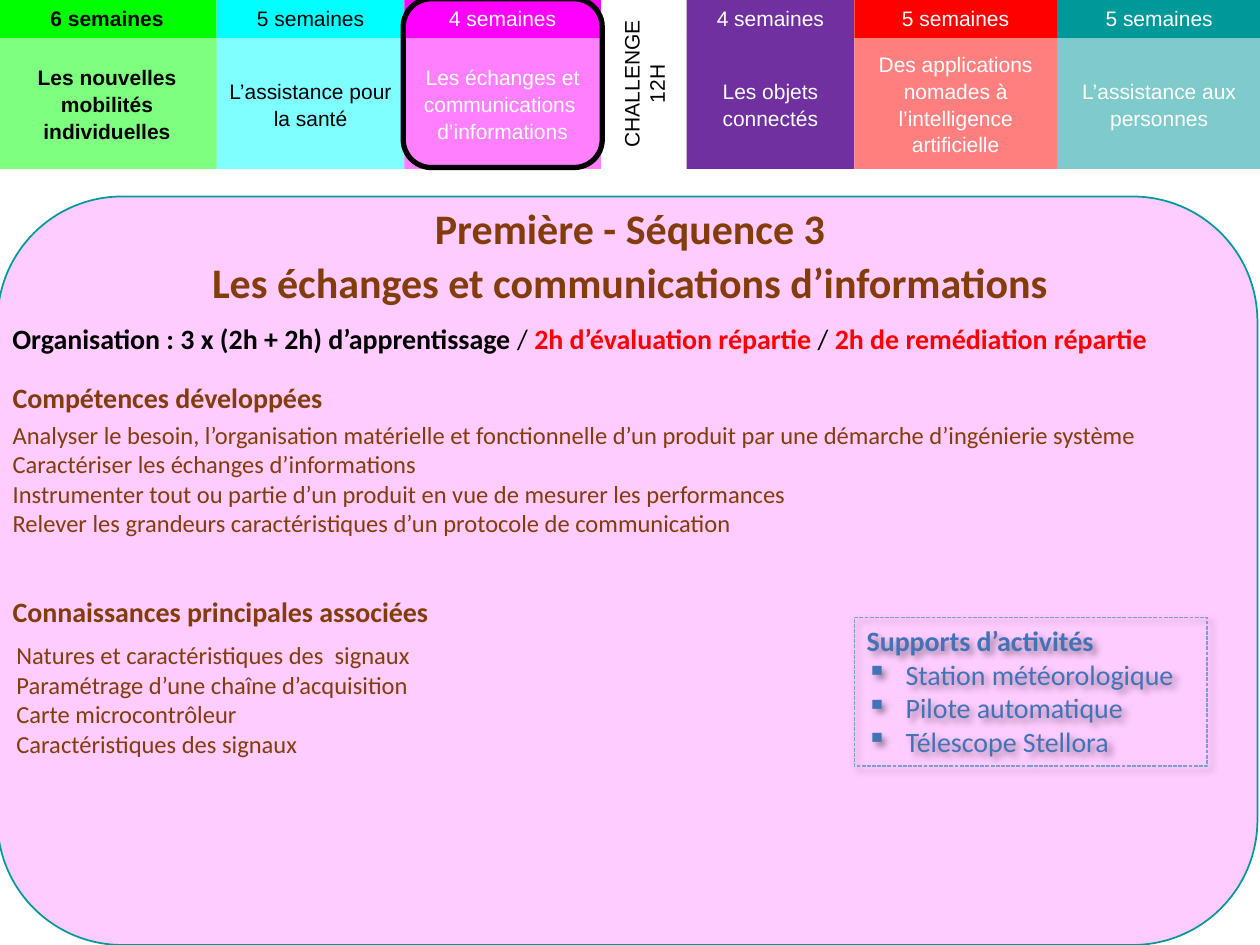
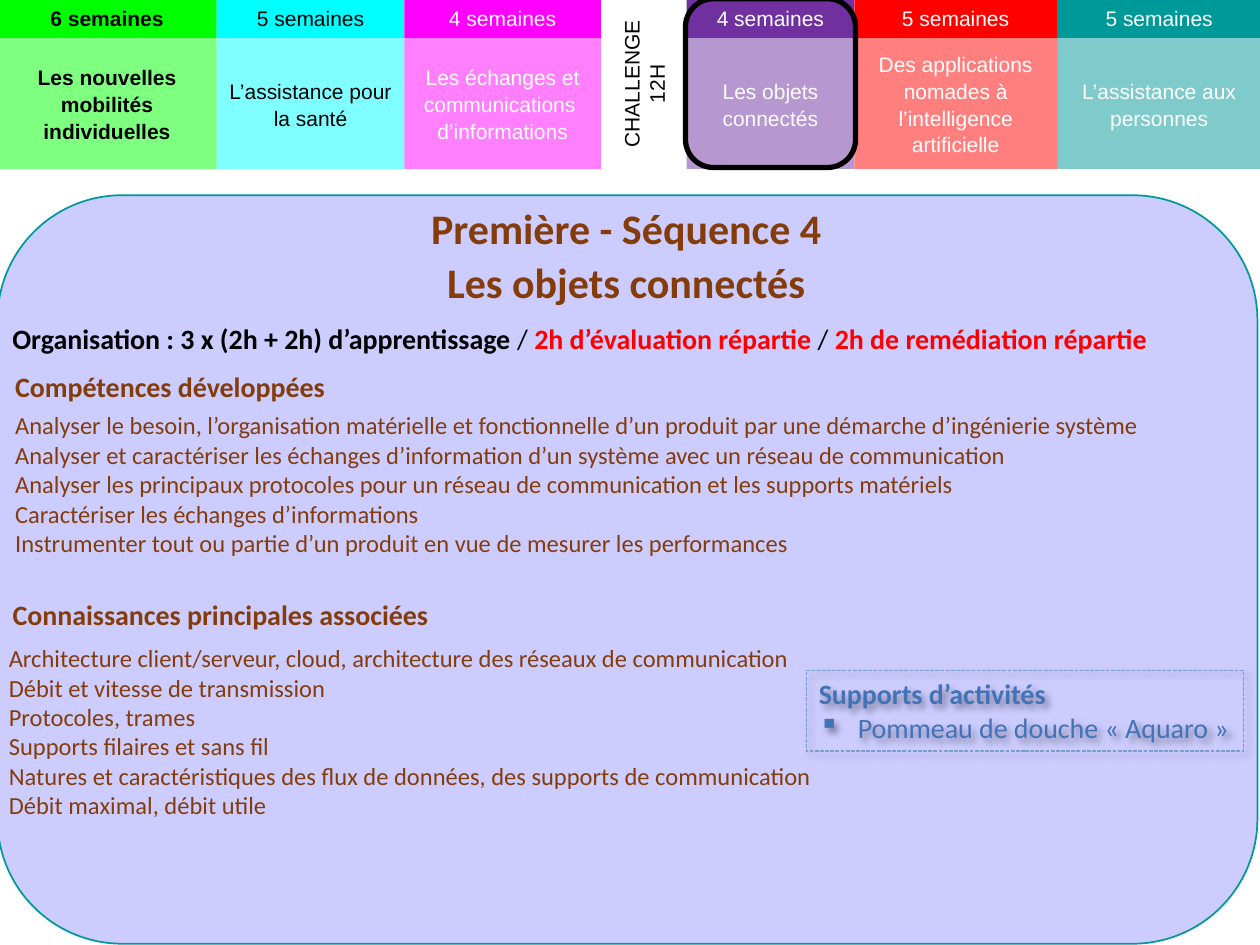
from lxml.etree import SubElement
from pptx import Presentation
from pptx.dml.color import RGBColor
from pptx.enum.dml import MSO_LINE
from pptx.enum.shapes import MSO_SHAPE as Shape
from pptx.enum.text import MSO_ANCHOR as Anchor, MSO_AUTO_SIZE as AutoSize, PP_ALIGN as Align
from pptx.oxml.ns import qn
from pptx.util import Inches, Pt

COLORS = {
    "black": "000000", "white": "FFFFFF", "red": "FF0000", "brown": "843C0B",
    "green": "00FF00", "cyan": "00FFFF", "magenta": "FF00FF", "blue": "0000FF",
    "purple": "7030A0", "teal": "009999", "support": "4273B7", "support_line": "7C9FD0",
}
EDGES = [-0.02, 1.72, 3.21, 4.77, 5.45, 6.78, 8.39, 10.01]
BAND_TOP, BAND_SPLIT, BAND_BOTTOM = -0.01, 0.3, 1.34
CHALLENGE, CONNECTED = 3, 4
SEQUENCES = [
    ("6 semaines", "Les nouvelles mobilités individuelles", "green", "black"),
    ("5 semaines", "L’assistance pour la santé", "cyan", "black"),
    ("4 semaines", "Les échanges et communications  d’informations", "magenta", "white"),
    (None, "CHALLENGE 12H", "white", "black"),
    ("4 semaines", "Les objets connectés", "purple", "white"),
    ("5 semaines", "Des applications nomades à l’intelligence artificielle", "red", "white"),
    ("5 semaines", "L’assistance aux personnes", "teal", "white"),
]
ORGANISATION = [
    ("Organisation : 3 x (2h + 2h) d’apprentissage ", {"bold": True}),
    ("/ ", {}),
    ("2h d’évaluation répartie ", {"bold": True, "color": "red"}),
    ("/ ", {}),
    ("2h de remédiation répartie", {"bold": True, "color": "red"}),
]
PAGES = [
    {
        "current": 2, "panel": ("magenta", 1.56),
        "title": ["Première - Séquence 3", "Les échanges et communications d’informations"],
        "title_left": 0,
        "skills_heading": (0, 2.97), "skills_box": (0, 3.28, 10, 1.04),
        "skills": [
            "Analyser le besoin, l’organisation matérielle et fonctionnelle d’un produit par une démarche d’ingénierie système",
            "Caractériser les échanges d’informations",
            "Instrumenter tout ou partie d’un produit en vue de mesurer les performances",
            "Relever les grandeurs caractéristiques d’un protocole de communication",
        ],
        "knowledge_heading": (0, 4.67), "knowledge_box": (0.03, 5.03, 10, 1.04),
        "knowledge": [
            "Natures et caractéristiques des  signaux",
            "Paramétrage d’une chaîne d’acquisition",
            "Carte microcontrôleur",
            "Caractéristiques des signaux",
        ],
        "supports_box": (6.78, 4.9, 2.8, 1.18),
        "supports": ["Station météorologique", "Pilote automatique", "Télescope Stellora"],
    },
    {
        "current": 4, "panel": ("blue", 1.55),
        "title": ["Première - Séquence 4", "Les objets connectés"],
        "title_left": -0.03,
        "skills_heading": (0.02, 2.88), "skills_box": (0.02, 3.2, 10, 1.28),
        "skills": [
            "Analyser le besoin, l’organisation matérielle et fonctionnelle d’un produit par une démarche d’ingénierie système",
            "Analyser et caractériser les échanges d’information d’un système avec un réseau de communication",
            "Analyser les principaux protocoles pour un réseau de communication et les supports matériels",
            "Caractériser les échanges d’informations",
            "Instrumenter tout ou partie d’un produit en vue de mesurer les performances",
        ],
        "knowledge_heading": (0, 4.69), "knowledge_box": (-0.03, 5.05, 10, 1.51),
        "knowledge": [
            "Architecture client/serveur, cloud, architecture des réseaux de communication",
            "Débit et vitesse de transmission",
            "Protocoles, trames",
            "Supports filaires et sans fil",
            "Natures et caractéristiques des flux de données, des supports de communication",
            "Débit maximal, débit utile",
        ],
        "supports_box": (6.4, 5.32, 3.47, 0.64),
        "supports": ["Pommeau de douche «\u00a0Aquaro\u00a0»"],
    },
]


def rgb(name):
    return RGBColor.from_string(COLORS[name])


def write(frame, paragraphs, size=14, font="Calibri", color="brown", bold=False,
          align=Align.LEFT, anchor=Anchor.TOP, spacing=1.0, inset=0.1):
    frame.word_wrap = True
    frame.auto_size = AutoSize.NONE
    frame.vertical_anchor = anchor
    frame.margin_left = frame.margin_right = Inches(inset)
    frame.margin_top = frame.margin_bottom = Inches(0.05)
    for index, content in enumerate(paragraphs):
        paragraph = frame.add_paragraph() if index else frame.paragraphs[0]
        paragraph.alignment = align
        paragraph.line_spacing = spacing
        paragraph.space_before = Pt(0)
        set_bullet(paragraph)
        pieces = [(content, {})] if isinstance(content, str) else content
        for text, own in pieces:
            run = paragraph.add_run()
            run.text = text
            run.font.name = font
            run.font.size = Pt(size)
            run.font.bold = own.get("bold", bold)
            run.font.color.rgb = rgb(own.get("color", color))


def set_bullet(paragraph, char=None, indent=0):
    properties = paragraph._p.get_or_add_pPr()
    properties.set("marL", str(Inches(indent)))
    properties.set("indent", str(-Inches(indent)))
    for old in properties.findall(qn("a:buNone")):
        properties.remove(old)
    if char:
        SubElement(properties, qn("a:buChar"), char=char)
    else:
        SubElement(properties, qn("a:buNone"))


def place(shape, left, top, width, height):
    shape.left, shape.top = Inches(left), Inches(top)
    shape.width, shape.height = Inches(width), Inches(height)


def add_box(shapes, kind, box, fill=None, opacity=100, line=None, weight=1):
    shape = shapes.add_shape(kind, *map(Inches, box))
    shape.shadow.inherit = False
    if fill:
        shape.fill.solid()
        shape.fill.fore_color.rgb = rgb(fill)
        if opacity < 100:
            color = shape.fill._xPr.find(qn("a:solidFill"))[0]
            SubElement(color, qn("a:alpha"), val=str(opacity * 1000))
    else:
        shape.fill.background()
    if line:
        shape.line.color.rgb = rgb(line)
        shape.line.width = Pt(weight)
    else:
        shape.line.fill.background()
    return shape


def add_timeline(slide, current):
    timeline = slide.shapes.add_group_shape().shapes
    for index, (weeks, topic, color, ink) in enumerate(SEQUENCES):
        left, width = EDGES[index], EDGES[index + 1] - EDGES[index]
        top = BAND_SPLIT if weeks else BAND_TOP
        opacity = 100 if index == CONNECTED != current else 50
        style = {"size": 12, "font": "Arial", "color": ink, "bold": index == 0,
                 "align": Align.CENTER, "anchor": Anchor.MIDDLE, "inset": 0.05}
        body = add_box(timeline, Shape.RECTANGLE, (left, top, width, BAND_BOTTOM - top), color, opacity)
        write(body.text_frame, [topic], spacing=1.07 if weeks else 1.0, **style)
        if index == CHALLENGE:
            body.text_frame._txBody.bodyPr.set("vert", "vert270")
        else:
            head = add_box(timeline, Shape.RECTANGLE, (left, BAND_TOP, width, BAND_SPLIT - BAND_TOP), color)
            write(head.text_frame, [weeks], **style)
    left, width = EDGES[current], EDGES[current + 1] - EDGES[current]
    add_box(slide.shapes, Shape.ROUNDED_RECTANGLE, (left - 0.01, BAND_TOP, width + 0.02, 1.34),
            line="black", weight=3)


def add_panel(slide, color, top):
    panel = add_box(slide.shapes, Shape.ROUNDED_RECTANGLE, (-0.02, top, 10, 5.94), color, 20, "teal")
    slide.shapes._spTree.insert(2, panel._element)


def add_supports(slide, box, supports):
    frame_box = add_box(slide.shapes, Shape.RECTANGLE, box, line="support_line", weight=0.75)
    frame_box.line.dash_style = MSO_LINE.SQUARE_DOT
    effects = frame_box._element.spPr.find(qn("a:effectLst"))
    shadow = SubElement(effects, qn("a:outerShdw"), blurRad=str(Pt(4)), dist=str(Pt(3)),
                        dir="2700000", algn="tl", rotWithShape="0")
    shade = SubElement(shadow, qn("a:srgbClr"), val=COLORS["black"])
    SubElement(shade, qn("a:alpha"), val="40000")
    heading = [("Supports d’activités", {"bold": True})]
    write(frame_box.text_frame, [heading] + supports, size=16, color="support")
    for paragraph in frame_box.text_frame.paragraphs[1:]:
        set_bullet(paragraph, "▪", 0.31)


def fill_section(heading, body, title, spot, box, items):
    place(heading, *spot, 10, 0.37)
    write(heading.text_frame, [title], size=16, bold=True)
    place(body, *box)
    write(body.text_frame, items, anchor=Anchor.MIDDLE)


def add_page(prs, page):
    slide = prs.slides.add_slide(prs.slide_layouts[4])
    title, skills_heading, skills, knowledge_heading, knowledge = slide.placeholders
    add_panel(slide, *page["panel"])
    place(title, page["title_left"], 1.56, 10, 0.94)
    write(title.text_frame, page["title"], size=24, bold=True, align=Align.CENTER)
    title.text_frame.paragraphs[1].line_spacing = 1.07
    fill_section(skills_heading, skills, "Compétences développées",
                 page["skills_heading"], page["skills_box"], page["skills"])
    fill_section(knowledge_heading, knowledge, "Connaissances principales associées",
                 page["knowledge_heading"], page["knowledge_box"], page["knowledge"])
    organisation = slide.shapes.add_textbox(0, Inches(2.5), Inches(10), Inches(0.37))
    write(organisation.text_frame, [ORGANISATION], size=16, color="black", anchor=Anchor.MIDDLE)
    add_supports(slide, page["supports_box"], page["supports"])
    add_timeline(slide, page["current"])


def main():
    prs = Presentation()
    prs.slide_width, prs.slide_height = Inches(10), Inches(7.5)
    for page in PAGES:
        add_page(prs, page)
    prs.save("out.pptx")


if __name__ == "__main__":
    main()
